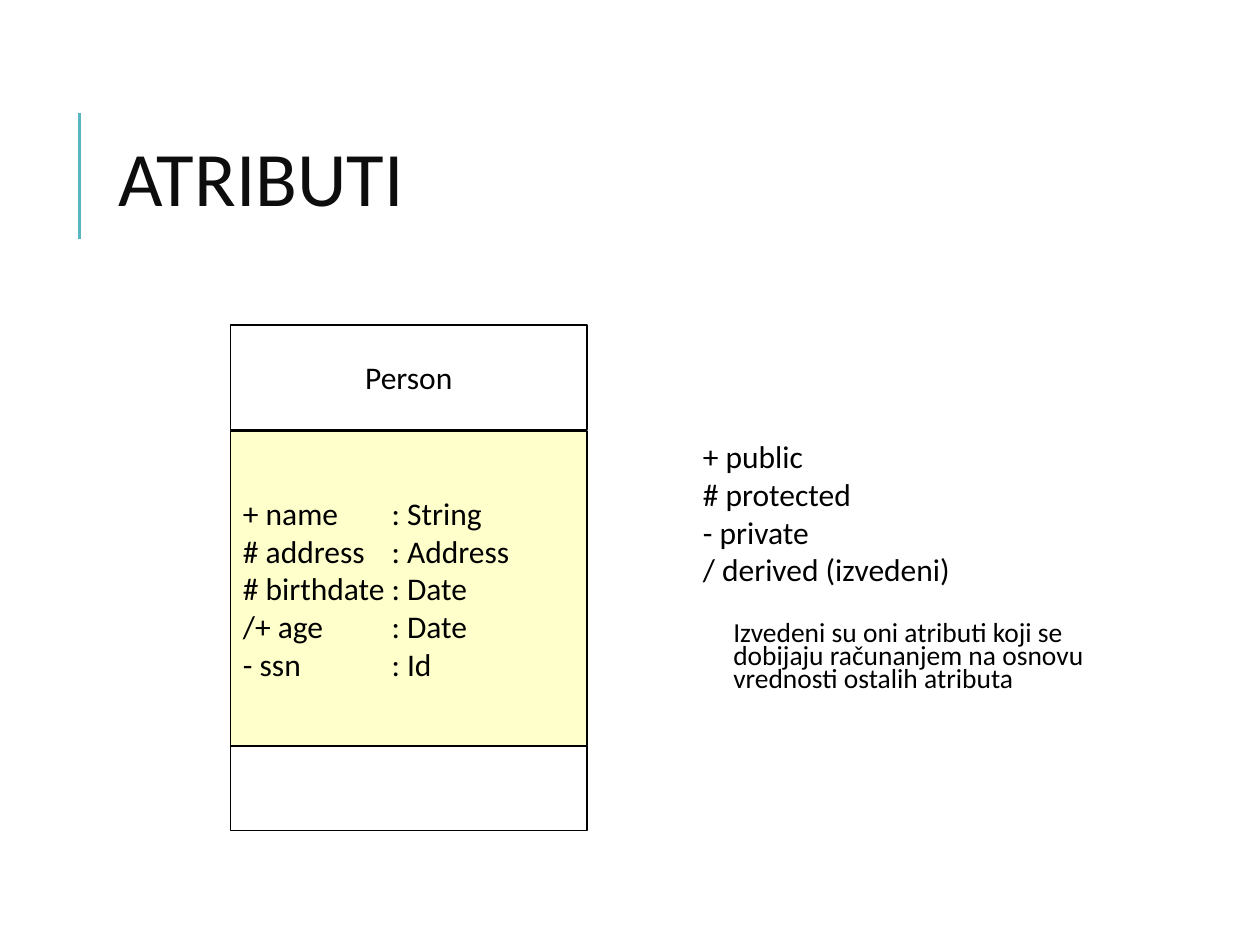
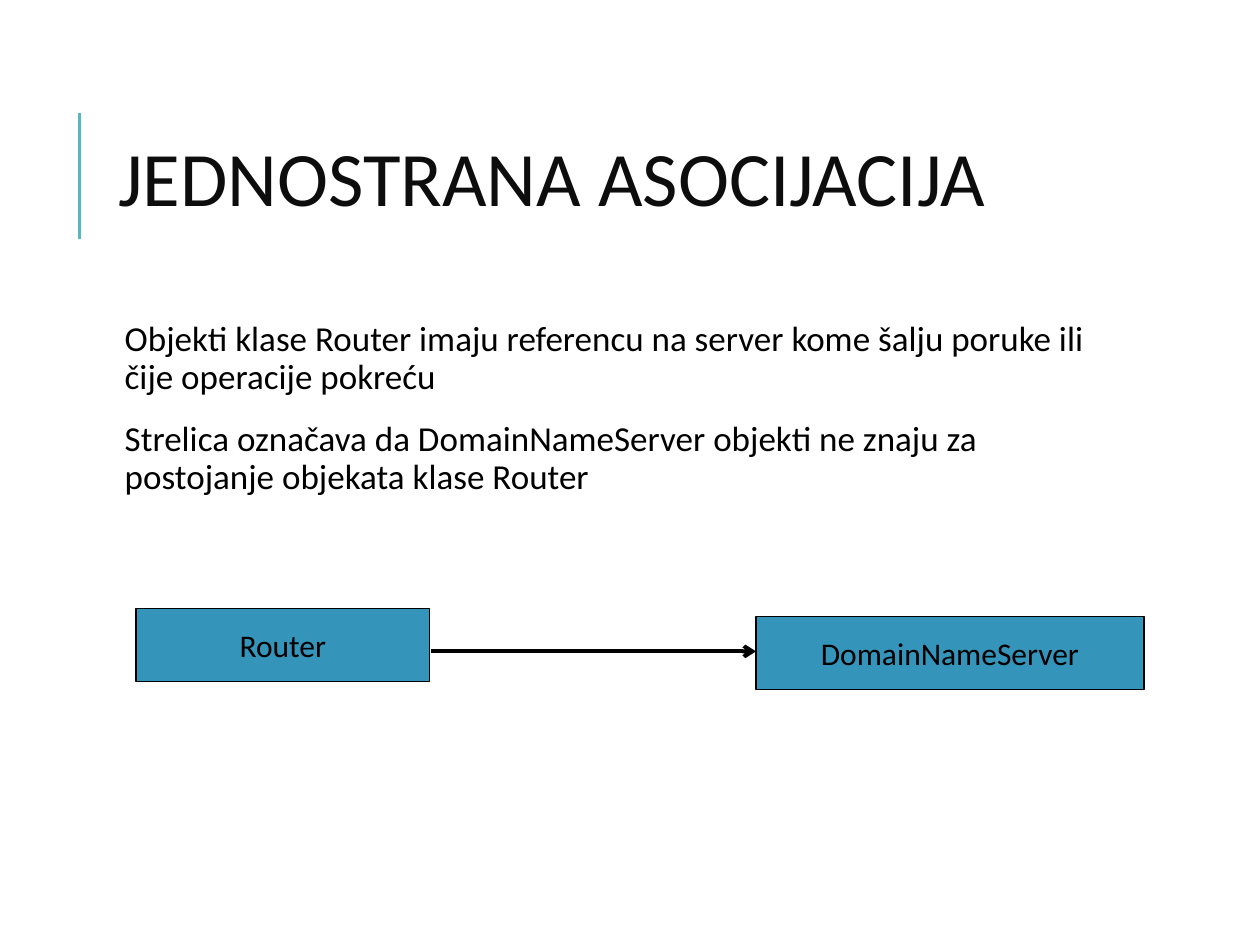
from lxml import etree
from pptx import Presentation
from pptx.dml.color import RGBColor
from pptx.enum import shapes, text
from pptx.oxml import ns
from pptx.util import Inches, Pt

FONT = "Calibri"
BLACK = RGBColor(0x00, 0x00, 0x00)
WHITE = RGBColor(0xFF, 0xFF, 0xFF)
TITLE_INK = RGBColor(0x0D, 0x0D, 0x0D)
TEAL = RGBColor(0x58, 0xB6, 0xC0)
CREAM = RGBColor(0xFF, 0xFF, 0xCC)
BLUE = RGBColor(0x34, 0x94, 0xBA)
LEFT, CENTER = text.PP_ALIGN.LEFT, text.PP_ALIGN.CENTER


def write(shape, lines, size=18, color=BLACK, align=LEFT, spacing=1.0,
          gap=0, margin=0.1, middle=True, tab=None):
    frame = shape.text_frame
    frame.word_wrap = True
    frame.margin_left = Inches(margin)
    frame.vertical_anchor = text.MSO_ANCHOR.MIDDLE if middle else text.MSO_ANCHOR.TOP
    for number, line in enumerate(lines):
        paragraph = frame.add_paragraph() if number else frame.paragraphs[0]
        paragraph.alignment = align
        paragraph.line_spacing = spacing
        if number:
            paragraph.space_before = Pt(gap)
        if tab:
            tabs = etree.SubElement(paragraph._p.get_or_add_pPr(), ns.qn("a:tabLst"))
            etree.SubElement(tabs, ns.qn("a:tab"), pos=str(Inches(tab)), algn="l")
        run = paragraph.add_run()
        run.text = line
        run.font.name, run.font.size = FONT, Pt(size)
        run.font.color.rgb = color


def add_line(slide, x1, y1, x2, y2, color, width, arrow=False):
    line = slide.shapes.add_connector(shapes.MSO_CONNECTOR.STRAIGHT,
                                      Inches(x1), Inches(y1), Inches(x2), Inches(y2))
    line.line.color.rgb = color
    line.line.width = Pt(width)
    if arrow:
        etree.SubElement(line.line._get_or_add_ln(), ns.qn("a:tailEnd"), type="arrow")
    etree.SubElement(line._element.spPr, ns.qn("a:effectLst"))


prs = Presentation()
prs.slide_width, prs.slide_height = Inches(10), Inches(7.5)

# Both slides: accent line and title
slides = []
for heading in ("ATRIBUTI", "JEDNOSTRANA ASOCIJACIJA"):
    slide = prs.slides.add_slide(prs.slide_layouts[6])
    add_line(slide, 0.63, 1.9, 0.63, 0.9, TEAL, 1.5)
    title = slide.shapes.add_textbox(Inches(0.84), Inches(0.64), Inches(7.97), Inches(1.64))
    write(title, [heading], size=44, color=TITLE_INK, spacing=0.8)
    slides.append(slide)
attributes_slide, association_slide = slides

# Class boxes: slide, left, top, width, height, fill, lines, alignment, tab stop
attributes = ["+ name\t: String", "# address\t: Address", "# birthdate\t: Date",
              "/+ age\t: Date", "- ssn\t: Id"]
class_boxes = [
    (attributes_slide, 1.83, 2.58, 2.83, 0.83, WHITE, ["Person"], CENTER, None),
    (attributes_slide, 1.83, 3.42, 2.83, 2.5, CREAM, attributes, LEFT, 1.18),
    (attributes_slide, 1.83, 5.92, 2.83, 0.67, WHITE, [], LEFT, None),
    (association_slide, 1.08, 4.83, 2.33, 0.58, BLUE, ["Router"], CENTER, None),
    (association_slide, 6, 4.89, 3.08, 0.58, BLUE, ["DomainNameServer"], CENTER, None),
]
for slide, left, top, width, height, fill, lines, align, tab in class_boxes:
    box = slide.shapes.add_shape(shapes.MSO_SHAPE.RECTANGLE, Inches(left), Inches(top),
                                 Inches(width), Inches(height))
    box.shadow.inherit = False
    box.fill.solid()
    box.fill.fore_color.rgb = fill
    box.line.color.rgb = BLACK
    box.line.width = Pt(0.75)
    write(box, lines, align=align, tab=tab)

# Attributes: visibility legend and note on derived attributes
legend = attributes_slide.shapes.add_textbox(Inches(5.48), Inches(3.42), Inches(2.42), Inches(1.3))
write(legend, ["+ public", "# protected", "- private", "/ derived (izvedeni)"], middle=False)

note = attributes_slide.shapes.add_textbox(Inches(5.67), Inches(4.9), Inches(3.23), Inches(0.9))
write(note, ["Izvedeni su oni atributi koji se dobijaju računanjem na osnovu "
             "vrednosti ostalih atributa"],
      size=15.7, spacing=0.7, margin=0.15, middle=False)

# Association: explanation and one-way arrow
explanation = association_slide.shapes.add_textbox(Inches(0.84), Inches(2.5),
                                                   Inches(7.97), Inches(4.4))
write(explanation,
      ["Objekti klase Router imaju referencu na server kome šalju poruke ili "
       "čije operacije pokreću",
       "Strelica označava da DomainNameServer objekti ne znaju za "
       "postojanje objekata klase Router"],
      size=20, spacing=0.9, gap=14, margin=0.15, middle=False)
add_line(association_slide, 3.42, 5.17, 6, 5.17, BLACK, 2.25, arrow=True)

prs.save("out.pptx")
